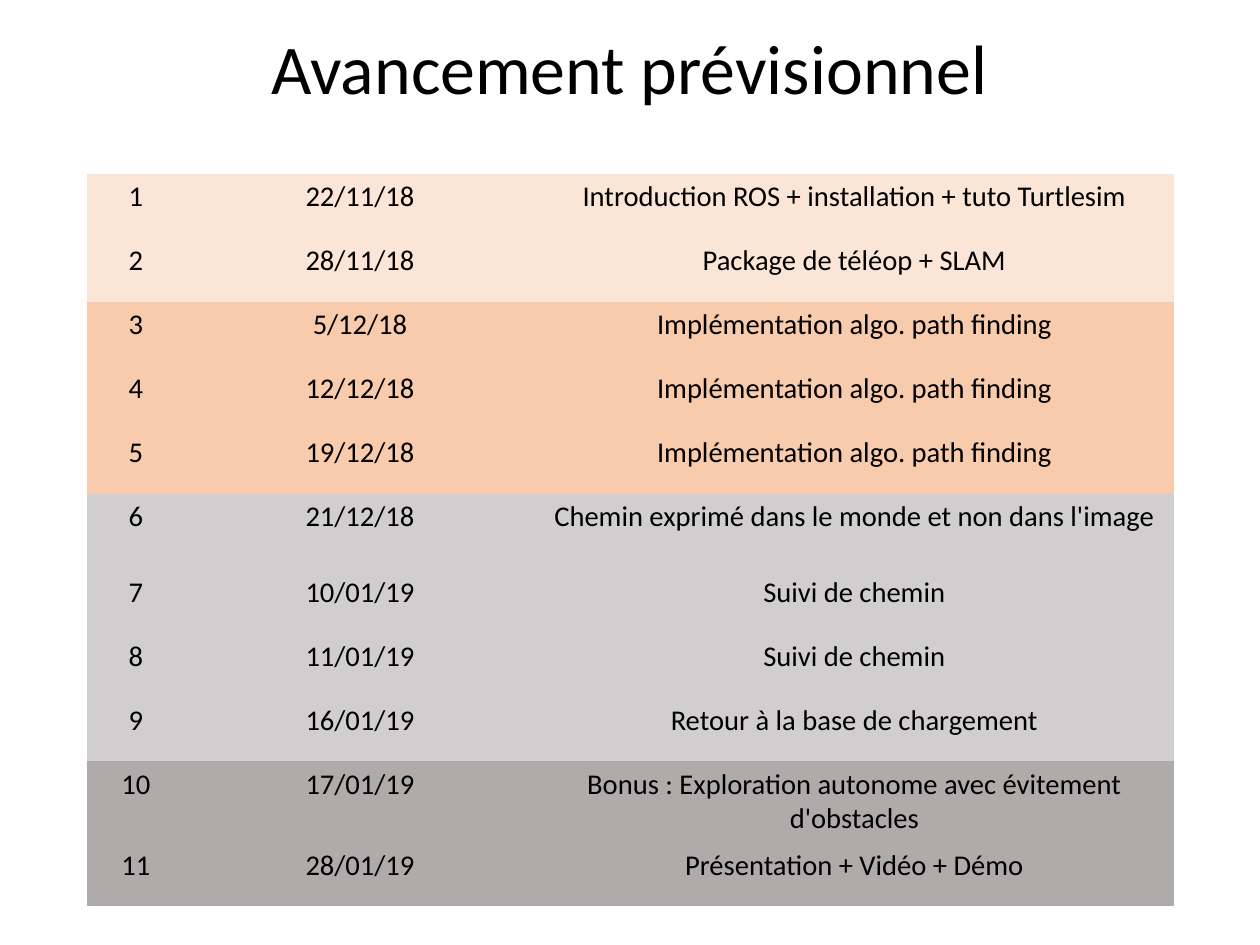
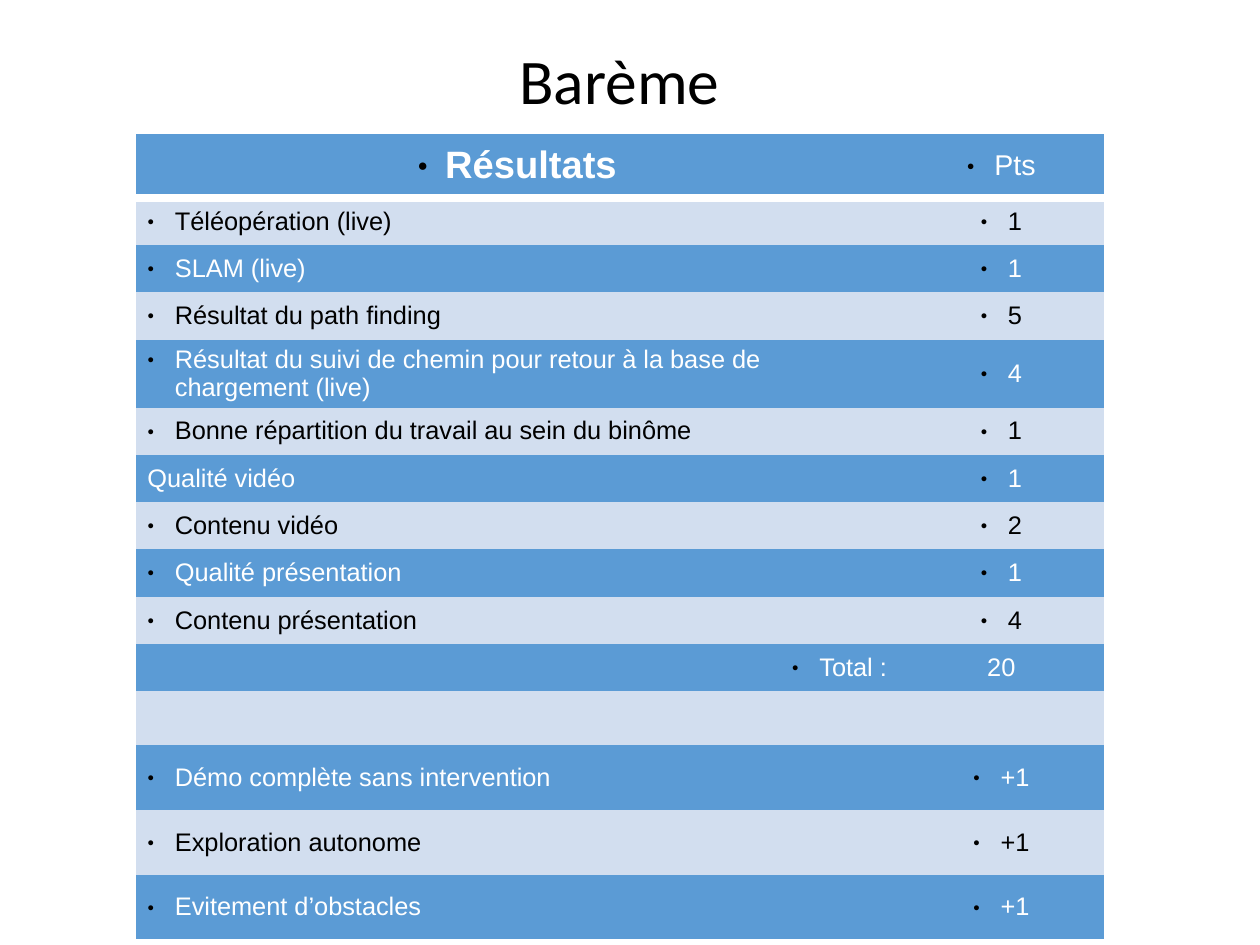
from dataclasses import dataclass

from pptx import Presentation
from pptx import util as u
from pptx.dml import color
from pptx.enum import text
from pptx.oxml import parse_xml
from pptx.oxml.ns import nsdecls, qn

LEFT, CENTER, RIGHT = text.PP_ALIGN.LEFT, text.PP_ALIGN.CENTER, text.PP_ALIGN.RIGHT
TOP, MIDDLE = text.MSO_ANCHOR.TOP, text.MSO_ANCHOR.MIDDLE


@dataclass(frozen=True)
class Theme:
    """Colours, fonts and type sizes of both slides."""
    black: str = "000000"
    white: str = "FFFFFF"
    blue: str = "5B9BD5"
    pale_blue: str = "D2DEEF"
    phases: tuple = ("FBE5D6", "F8CBAD", "D0CECE", "AFABAB")
    heading_font: str = "Calibri"
    score_font: str = "Arial"
    plan_title: int = 44
    score_title: int = 40
    score_heading: int = 24
    body: int = 18
    score: int = 16
    bullet_percent: int = 45
    plain_table: str = "{2D5ABB26-0587-4C30-8999-92F81FD0307C}"


THEME = Theme()

PHASES = [
    [("22/11/18", "Introduction ROS + installation + tuto Turtlesim"),
     ("28/11/18", "Package de téléop + SLAM")],
    [("5/12/18", "Implémentation algo. path finding"),
     ("12/12/18", "Implémentation algo. path finding"),
     ("19/12/18", "Implémentation algo. path finding")],
    [("21/12/18", "Chemin exprimé dans le monde et non dans l'image"),
     ("10/01/19", "Suivi de chemin"),
     ("11/01/19", "Suivi de chemin"),
     ("16/01/19", "Retour à la base de chargement")],
    [("17/01/19", "Bonus : Exploration autonome avec évitement d'obstacles"),
     ("28/01/19", "Présentation + Vidéo + Démo")],
]

SCORES = [
    ("Résultats", "Pts"),
    ("Téléopération (live)", "1"),
    ("SLAM (live)", "1"),
    ("Résultat du path finding", "5"),
    ("Résultat du suivi de chemin pour retour à la base de chargement (live)", "4"),
    ("Bonne répartition du travail au sein du binôme", "1"),
    ("Qualité vidéo", "1"),
    ("Contenu vidéo", "2"),
    ("Qualité présentation", "1"),
    ("Contenu présentation", "4"),
    ("Total :", "20"),
    ("", ""),
    ("Démo complète sans intervention", "+1"),
    ("Exploration autonome", "+1"),
    ("Evitement d’obstacles", "+1"),
]
UNBULLETED = {"Qualité vidéo", "20", ""}


def assign(target, values):
    """Set each attribute named in values on target."""
    for name, value in values.items():
        setattr(target, name, value)


def write(paragraph, words, size, font, ink, align=CENTER, bold=False):
    """Put one formatted run in a paragraph."""
    run = paragraph.add_run()
    run.text = words
    paragraph.alignment = align
    assign(run.font, {"size": u.Pt(size), "name": font, "bold": bold})
    run.font.color.rgb = color.RGBColor.from_string(ink)


def add_bullet(paragraph):
    """Give a paragraph a small hanging black bullet."""
    properties = paragraph._p.get_or_add_pPr()
    hang = u.Inches(0.24)
    properties.set("marL", str(hang))
    properties.set("indent", str(-hang))
    for part in (f'<a:buClr {nsdecls("a")}><a:srgbClr val="{THEME.black}"/></a:buClr>',
                 f'<a:buSzPct {nsdecls("a")} val="{THEME.bullet_percent * 1000}"/>',
                 f'<a:buFont {nsdecls("a")} typeface="{THEME.score_font}"/>',
                 f'<a:buChar {nsdecls("a")} char="●"/>'):
        properties.append(parse_xml(part))


def underline_cell(cell, width):
    """Draw a white line along the bottom of a cell."""
    cell._tc.get_or_add_tcPr().insert(0, parse_xml(
        f'<a:lnB {nsdecls("a")} w="{u.Pt(width)}"><a:solidFill>'
        f'<a:srgbClr val="{THEME.white}"/></a:solidFill></a:lnB>'))


def add_titled_slide(deck, title, size, box):
    """Add a title-only slide and place its title."""
    slide = deck.slides.add_slide(deck.slide_layouts[5])
    heading = slide.shapes.title
    assign(heading, dict(zip(("left", "top", "width", "height"), map(u.Inches, box))))
    frame = heading.text_frame
    assign(frame, {"margin_left": 0, "margin_top": 0, "margin_right": 0,
                   "margin_bottom": 0, "vertical_anchor": MIDDLE,
                   "word_wrap": True, "auto_size": text.MSO_AUTO_SIZE.NONE})
    write(frame.paragraphs[0], title, size, THEME.heading_font, THEME.black)
    return slide


def add_plain_table(slide, left, top, widths, heights):
    """Add a table without style, with the given column and row sizes."""
    frame = slide.shapes.add_table(
        len(heights), len(widths), u.Inches(left), u.Inches(top),
        u.Inches(sum(widths)), u.Inches(sum(heights)))
    table = frame.table
    assign(table, {"first_row": False, "horz_banding": False})
    table._tbl.tblPr.find(qn("a:tableStyleId")).text = THEME.plain_table
    for column, width in zip(table.columns, widths):
        column.width = u.Inches(width)
    for row, height in zip(table.rows, heights):
        row.height = u.Inches(height)
    return table


def fill_cell(cell, fill, anchor):
    """Colour a cell and return its paragraph."""
    cell.fill.solid()
    cell.fill.fore_color.rgb = color.RGBColor.from_string(fill)
    cell.vertical_anchor = anchor
    return cell.text_frame.paragraphs[0]


def build_schedule(deck):
    """Build the schedule, with one colour for each phase."""
    slide = add_titled_slide(deck, "Avancement prévisionnel", THEME.plan_title,
                             (0.55, 0.21, 9.92, 0.74))
    sessions = [(fill, *session) for fill, phase in zip(THEME.phases, PHASES)
                for session in phase]
    taller = {6: 0.66, 10: 0.71}
    heights = [taller.get(number, 0.56) for number in range(1, len(sessions) + 1)]
    table = add_plain_table(slide, 0.76, 1.52, (0.86, 3.06, 5.59), heights)
    for number, (fill, date, topic) in enumerate(sessions, 1):
        for column, words in enumerate((str(number), date, topic)):
            paragraph = fill_cell(table.cell(number - 1, column), fill, TOP)
            write(paragraph, words, THEME.body, THEME.heading_font, THEME.black)


def build_scores(deck):
    """Build the marking scale, with alternating row colours."""
    slide = add_titled_slide(deck, "Barème", THEME.score_title, (0.46, 0, 9.92, 1.38))
    heights = [0.56] + [4.14 / 10] * 10 + [0.47, 0.57, 0.57, 0.56]
    table = add_plain_table(slide, 1.19, 1.17, (6.67, 1.8), heights)
    for row, entry in enumerate(SCORES):
        fill, ink = ((THEME.pale_blue, THEME.black) if row % 2
                     else (THEME.blue, THEME.white))
        for column, words in enumerate(entry):
            cell = table.cell(row, column)
            paragraph = fill_cell(cell, fill, MIDDLE)
            size, align = THEME.score, CENTER if column else LEFT
            if row == 0:
                size = THEME.body if column else THEME.score_heading
                align = CENTER
                underline_cell(cell, 6)
            elif words == "Total :":
                align = RIGHT
            if words:
                write(paragraph, words, size, THEME.score_font, ink, align,
                      bold=(row, column) == (0, 0))
            if words not in UNBULLETED:
                add_bullet(paragraph)


def main():
    """Build and save both slides."""
    deck = Presentation()
    deck.slide_width = u.Cm(28)
    deck.slide_height = u.Cm(21)
    build_schedule(deck)
    build_scores(deck)
    deck.save("out.pptx")


if __name__ == "__main__":
    main()
